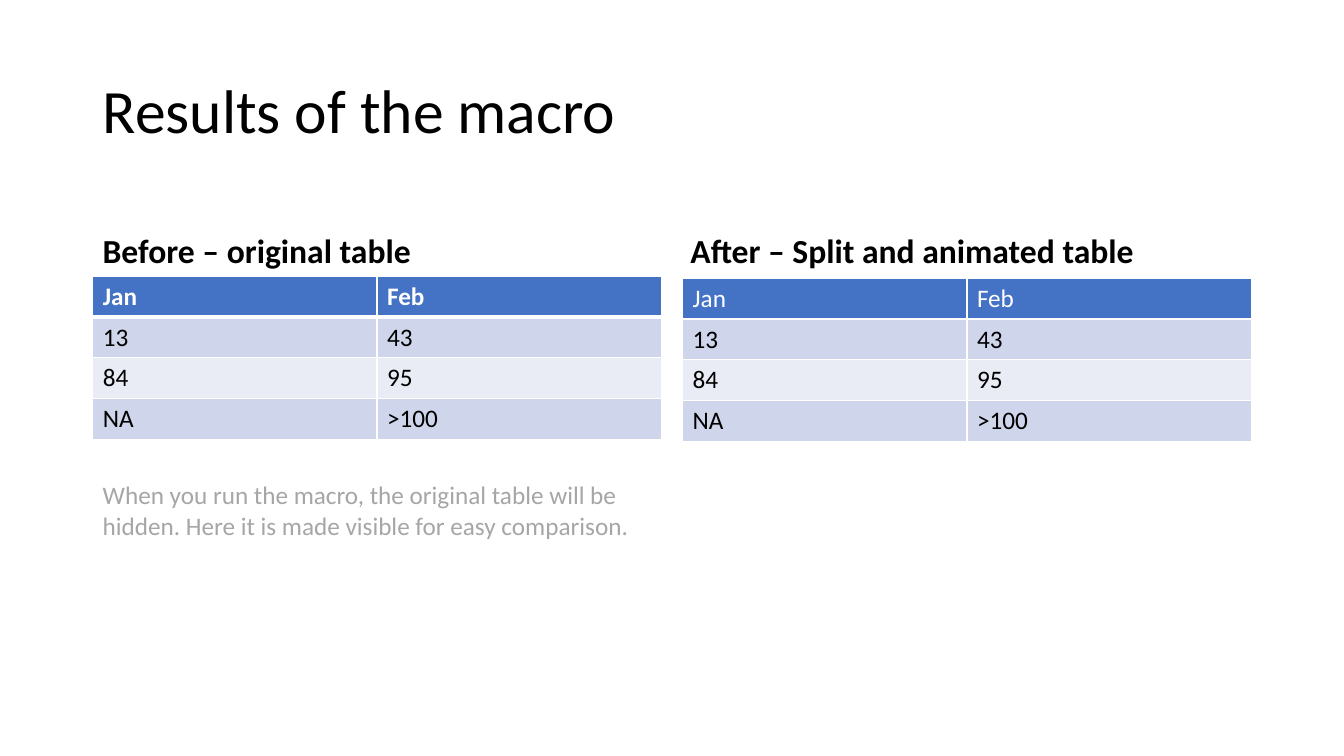
"""Build a slide that compares a table before and after a macro splits it."""
from dataclasses import dataclass

from lxml import etree
from pptx import Presentation
from pptx.dml.color import RGBColor
from pptx.enum import text
from pptx.oxml import ns
from pptx.slide import Slide
from pptx.table import _Cell
from pptx.text.text import _Paragraph
from pptx.util import Inches, Pt


@dataclass(frozen=True)
class Theme:
    font: str = "Calibri"
    ink: str = "000000"
    white: str = "FFFFFF"
    gray: str = "A6A6A6"
    head: str = "4472C4"
    bands: tuple[str, ...] = ("E9EBF5", "CFD5EA")
    title: int = 44
    label: int = 24
    body: int = 18
    rule: int = 1
    thick: int = 3


@dataclass(frozen=True)
class Label:
    words: str
    left: float
    top: float
    width: float
    height: float
    size: int
    color: str
    bold: bool = False
    anchor: text.MSO_ANCHOR = text.MSO_ANCHOR.BOTTOM
    space: float = 0.9


@dataclass(frozen=True)
class Grid:
    rows: list[list[str]]
    left: float
    top: float
    first: int = 0
    bold: bool = False


THEME = Theme()
WIDTH, HEIGHT = 2.82, 0.405
DATA = [["Jan", "Feb"], ["13", "43"], ["84", "95"], ["NA", ">100"]]
LABELS = [
    Label("Results of the macro", 0.92, 0.4, 11.5, 1.45, THEME.title,
          THEME.ink, anchor=text.MSO_ANCHOR.MIDDLE),
    Label("Before – original table", 0.92, 1.84, 5.64, 0.9, THEME.label,
          THEME.ink, bold=True),
    Label("After – Split and animated table", 6.75, 1.84, 5.67, 0.9,
          THEME.label, THEME.ink, bold=True),
    Label("When you run the macro, the original table will be hidden. "
          "Here it is made visible for easy comparison.", 0.92, 4.71, 5.64,
          0.71, THEME.body, THEME.gray, anchor=text.MSO_ANCHOR.TOP, space=1.0),
]
BEFORE = Grid(DATA, 0.92, 2.74, bold=True)
AFTER = [
    Grid([[word]], 6.77 + col * WIDTH, 2.76 + row * HEIGHT, row)
    for row, words in enumerate(DATA)
    for col, word in enumerate(words)
]


def style(para: _Paragraph, size: int, color: str, bold: bool) -> None:
    """Set the font of a paragraph."""
    font = para.font
    font.name, font.size, font.bold = THEME.font, Pt(size), bold
    font.color.rgb = RGBColor.from_string(color)


def write(slide: Slide, label: Label) -> None:
    """Draw a label as a text box."""
    box = slide.shapes.add_textbox(
        Inches(label.left), Inches(label.top),
        Inches(label.width), Inches(label.height))
    frame = box.text_frame
    frame.word_wrap, frame.vertical_anchor = True, label.anchor
    para = frame.paragraphs[0]
    para.text, para.line_spacing = label.words, label.space
    style(para, label.size, label.color, label.bold)


def edge(cell: _Cell, base: int) -> None:
    """Rule the four sides of a cell, with its own bottom width."""
    props = cell._tc.get_or_add_tcPr()
    for side in "LRTB":
        width = Pt(base if side == "B" else THEME.rule)
        line = etree.SubElement(props, ns.qn(f"a:ln{side}"), w=str(width))
        fill = etree.SubElement(line, ns.qn("a:solidFill"))
        etree.SubElement(fill, ns.qn("a:srgbClr"), val=THEME.white)


def tabulate(slide: Slide, grid: Grid) -> None:
    """Draw a grid as a table, banded from its first row number."""
    rows, cols = len(grid.rows), len(grid.rows[0])
    table = slide.shapes.add_table(
        rows, cols, Inches(grid.left), Inches(grid.top),
        Inches(cols * WIDTH), Inches(rows * HEIGHT)).table
    table.first_row = table.horz_banding = False
    for row, words in enumerate(grid.rows):
        band = grid.first + row
        head = band == 0
        for col, word in enumerate(words):
            cell = table.cell(row, col)
            edge(cell, THEME.thick if head and grid.bold else THEME.rule)
            cell.fill.solid()
            cell.fill.fore_color.rgb = RGBColor.from_string(
                THEME.head if head else THEME.bands[band % 2])
            cell.text = word
            style(cell.text_frame.paragraphs[0], THEME.body,
                  THEME.white if head else THEME.ink, head and grid.bold)


def main() -> None:
    """Build and save the slide."""
    deck = Presentation()
    deck.slide_width, deck.slide_height = Inches(13.33), Inches(7.5)
    slide = deck.slides.add_slide(deck.slide_layouts[6])
    for label in LABELS:
        write(slide, label)
    for grid in [BEFORE, *AFTER]:
        tabulate(slide, grid)
    deck.save("out.pptx")


if __name__ == "__main__":
    main()
